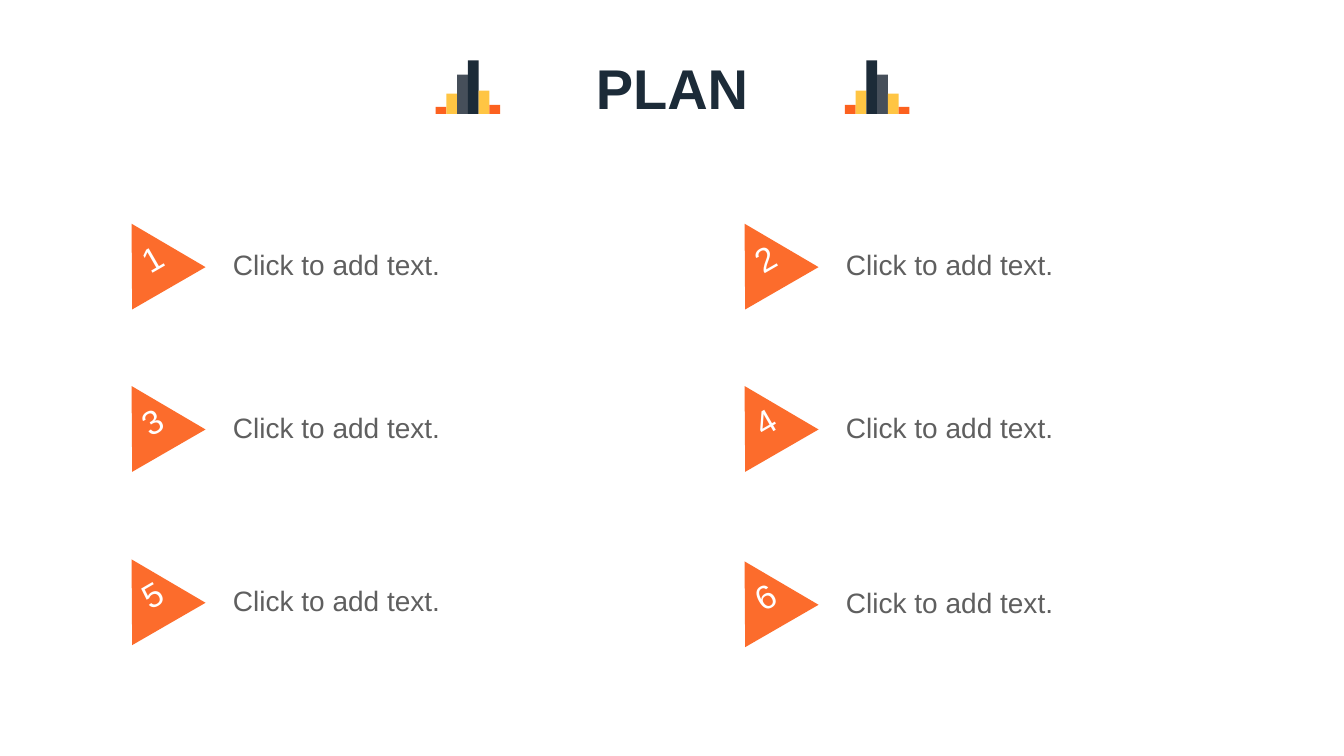
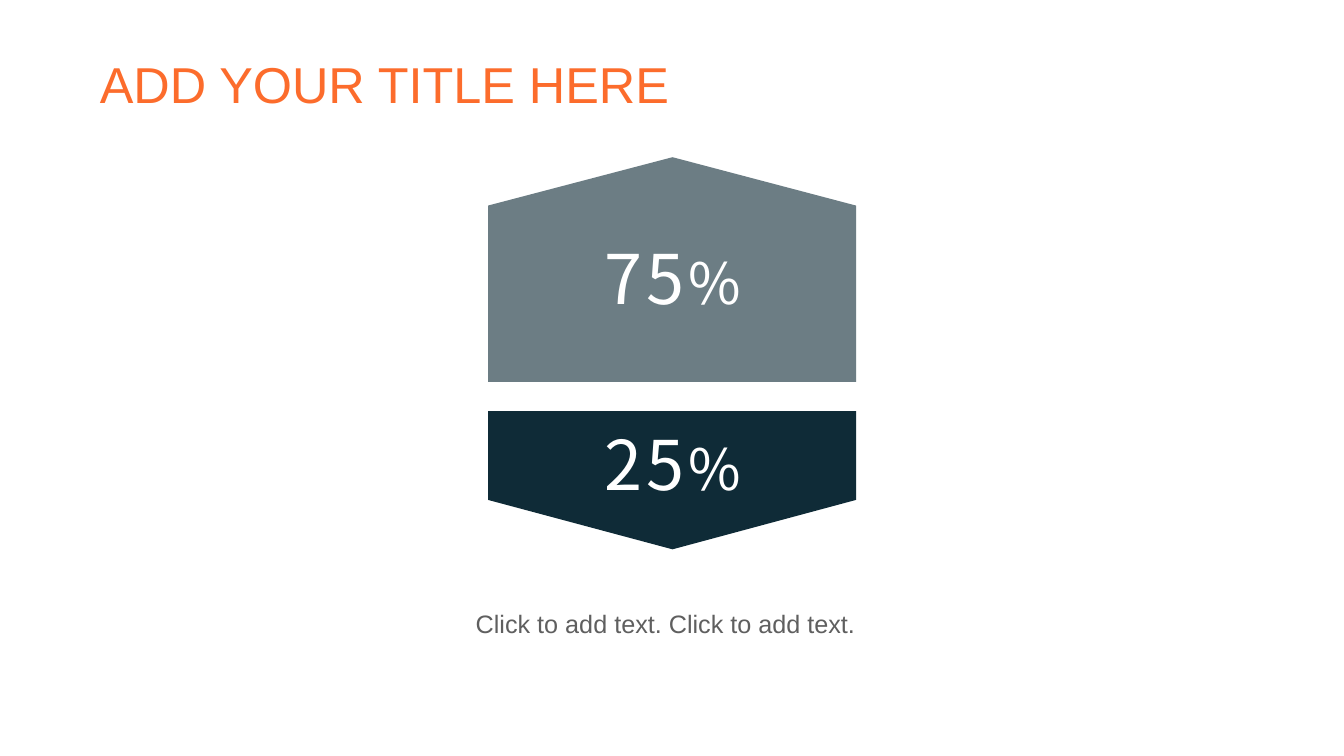
from lxml.etree import SubElement
from pptx import Presentation
from pptx.dml.color import RGBColor
from pptx.enum.shapes import MSO_SHAPE
from pptx.enum.text import MSO_ANCHOR, PP_ALIGN
from pptx.oxml.ns import qn
from pptx.util import Inches, Pt

ORANGE = RGBColor(0xFC, 0x6C, 0x2C)
DEEP_ORANGE = RGBColor(0xFC, 0x61, 0x1F)
YELLOW = RGBColor(0xFF, 0xC5, 0x43)
SLATE = RGBColor(0x46, 0x4F, 0x5A)
NAVY = RGBColor(0x1C, 0x2B, 0x38)
DARK_TEAL = RGBColor(0x0F, 0x2B, 0x37)
GREY = RGBColor(0x5F, 0x5F, 0x5F)
WHITE = RGBColor(0xFF, 0xFF, 0xFF)
BODY_FONT = "Arial"
NUMBER_FONT = "Noto Sans CJK SC"


def write(shape, text, size, color, align=PP_ALIGN.LEFT, anchor=MSO_ANCHOR.MIDDLE,
          insets=(0, 0, 0, 0)):
    """Put one styled paragraph in a shape and return the paragraph."""
    frame = shape.text_frame
    frame.word_wrap = True
    frame.vertical_anchor = anchor
    (frame.margin_left, frame.margin_top,
     frame.margin_right, frame.margin_bottom) = [Inches(inset) for inset in insets]
    para = frame.paragraphs[0]
    para.text = text
    para.alignment = align
    para.font.name = BODY_FONT
    para.font.size = Pt(size)
    para.font.color.rgb = color
    return para


def add_outline(shapes, points, color):
    """Draw a closed, filled polygon through points given in inches."""
    corners = [(Inches(x), Inches(y)) for x, y in points]
    builder = shapes.build_freeform(*corners[0])
    builder.add_line_segments(corners[1:], close=True)
    outline = builder.convert_to_shape()
    outline.shadow.inherit = False
    outline.fill.solid()
    outline.fill.fore_color.rgb = color
    outline.line.fill.background()
    return outline


deck = Presentation()
deck.slide_width = Inches(13.33)
deck.slide_height = Inches(7.5)
blank = deck.slide_layouts[6]

# Slide 1: plan
page = deck.slides.add_slide(blank)
box = page.shapes.add_textbox(Inches(4.96), Inches(0.32), Inches(3.41), Inches(1.08))
write(box, "PLAN", 40, NAVY, PP_ALIGN.CENTER).font.bold = True

# Bar emblems, mirrored on either side of the title
bars = [(0.07, DEEP_ORANGE), (0.2, YELLOW), (0.39, SLATE),
        (0.53, NAVY), (0.23, YELLOW), (0.09, DEEP_ORANGE)]
bar_width = Inches(0.64) // len(bars)
for emblem_left, emblem_bars in ((4.32, bars), (8.38, bars[::-1])):
    emblem = page.shapes.add_group_shape()
    for index, (height, color) in enumerate(emblem_bars):
        bar = emblem.shapes.add_shape(
            MSO_SHAPE.RECTANGLE, Inches(emblem_left) + index * bar_width,
            Inches(1.13 - height), bar_width, Inches(height))
        bar.shadow.inherit = False
        bar.fill.solid()
        bar.fill.fore_color.rgb = color
        bar.line.fill.background()

# Numbered items, two columns by three rows
item_tops = [2.17, 2.17, 3.78, 3.78, 5.5, 5.52]
for index, top in enumerate(item_tops):
    left = 1.07 + index % 2 * 6.08
    item = page.shapes.add_group_shape()
    box = item.shapes.add_textbox(Inches(left + 1.24), Inches(top + 0.03),
                                  Inches(3.88), Inches(0.85))
    write(box, "Click to add text.", 20, GREY)
    marker = add_outline(item.shapes, [(left + 0.42, top), (left + 0.84, top + 0.74),
                                       (left, top + 0.74)], ORANGE)
    marker.rotation = 330
    write(marker, str(index + 1), 24, WHITE, PP_ALIGN.CENTER, insets=(0, 0.06, 0, 0))

# Slide 2: two shares
page = deck.slides.add_slide(blank)
left, middle, right = 4.84, 6.67, 8.49
upper = add_outline(page.shapes, [(left, 2.04), (middle, 1.56), (right, 2.04),
                                  (right, 3.79), (left, 3.79)], DARK_TEAL)
solid_color = upper.fill._xPr.find(qn("a:solidFill"))[0]
SubElement(solid_color, qn("a:alpha")).set("val", "61000")
add_outline(page.shapes, [(left, 4.08), (right, 4.08), (right, 4.96),
                          (middle, 5.45), (left, 4.96)], DARK_TEAL)

# Percentages
for number, top in (("75", 2.29), ("25", 4.14)):
    box = page.shapes.add_textbox(Inches(5.84), Inches(top), Inches(1.66), Inches(0.96))
    para = write(box, number, 48.9, WHITE, PP_ALIGN.CENTER, MSO_ANCHOR.TOP,
                 (0.1, 0.05, 0.1, 0.05))
    para.font.name = NUMBER_FONT
    para.add_run().text = "%"
    para.runs[1].font.size = Pt(40.7)
    for span in para.runs:
        span._r.get_or_add_rPr().set("spc", "300")

# Caption and title
box = page.shapes.add_textbox(Inches(1.54), Inches(5.9), Inches(10.12), Inches(1))
write(box, "Click to add text. Click to add text.", 18, GREY, PP_ALIGN.CENTER,
      MSO_ANCHOR.TOP, (0.1, 0.05, 0.1, 0.05)).line_spacing = 1.3
box = page.shapes.add_textbox(Inches(0.92), Inches(0.4), Inches(11.5), Inches(0.94))
write(box, "ADD YOUR TITLE HERE", 36, ORANGE,
      insets=(0.07, 0.04, 0.07, 0.04)).line_spacing = 0.9

deck.save("out.pptx")
